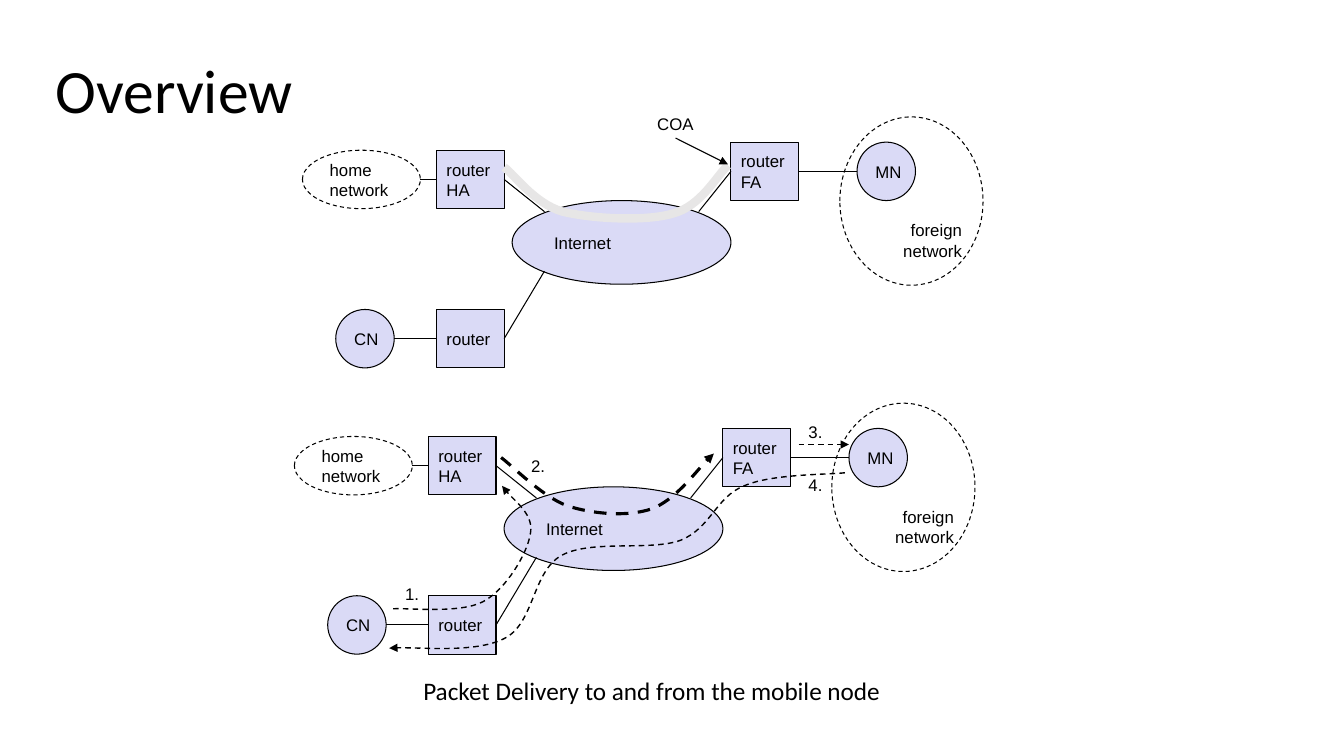
from pptx import Presentation
from pptx.dml.color import RGBColor
from pptx.enum.dml import MSO_LINE
from pptx.enum.shapes import MSO_CONNECTOR, MSO_SHAPE
from pptx.enum.text import MSO_ANCHOR as ANCHOR, MSO_AUTO_SIZE as AUTO, PP_ALIGN as ALIGN
from pptx.oxml.ns import qn
from pptx.util import Inches, Pt
from lxml import etree

BLACK = RGBColor(0x00, 0x00, 0x00)
LAVENDER = RGBColor(0xDA, 0xDA, 0xF6)
GREY = RGBColor(0xE7, 0xE6, 0xE6)
RECT, OVAL = MSO_SHAPE.RECTANGLE, MSO_SHAPE.OVAL
LEFT_SIDE, RIGHT_SIDE = 1, 3
NODE = 0.58          # height of routers and hosts
ROUTER_W = 0.67


def write(tf, text, size=12, font="Arial", align=ALIGN.LEFT, anchor=ANCHOR.TOP,
          wrap=False, spacing=None, auto=AUTO.NONE):
    """Fill a text frame, one paragraph per line of text."""
    tf.word_wrap = wrap
    tf.auto_size = auto
    tf.vertical_anchor = anchor
    for i, line in enumerate(text.split("\n")):
        p = tf.paragraphs[0] if i == 0 else tf.add_paragraph()
        p.alignment = align
        if spacing:
            p.line_spacing = spacing
        r = p.add_run()
        r.text = line
        r.font.size, r.font.name = Pt(size), font
        r.font.color.rgb = BLACK


class Diagram:
    """Drawing style together with the current slide."""

    def __init__(self, slide):
        self.slide = slide
        self.shapes = slide.shapes

    def stroke(self, s, color=BLACK, width=0.75, dash=False, arrow=False):
        s.line.color.rgb = color
        s.line.width = Pt(width)
        if dash:
            s.line.dash_style = MSO_LINE.DASH
        if arrow:
            ln = s.element.spPr.find(qn("a:ln"))
            etree.SubElement(ln, qn("a:tailEnd"), type="triangle")

    def title(self, text, x, y, w, h):
        s = self.shapes.title
        s.left, s.top, s.width, s.height = map(Inches, (x, y, w, h))
        write(s.text_frame, text, size=44, font="Calibri", anchor=ANCHOR.BOTTOM,
              wrap=True, spacing=0.9)

    def node(self, kind, text, x, y, w, h, fill=LAVENDER, **fmt):
        s = self.shapes.add_shape(kind, *map(Inches, (x, y, w, h)))
        s.shadow.inherit = False
        if fill is None:
            s.fill.background()
        else:
            s.fill.solid()
            s.fill.fore_color.rgb = fill
        self.stroke(s, dash=fill is None)
        write(s.text_frame, text, **{"anchor": ANCHOR.MIDDLE, **fmt})
        return s

    def label(self, text, x, y, w=0.34, h=0.3, **fmt):
        s = self.shapes.add_textbox(*map(Inches, (x, y, w, h)))
        write(s.text_frame, text, auto=AUTO.SHAPE_TO_FIT_TEXT, **fmt)

    def line(self, start, end, begin=None, finish=None, **style):
        """Straight line; begin and finish are (shape, side) pairs to join."""
        s = self.shapes.add_connector(MSO_CONNECTOR.STRAIGHT,
                                      *map(Inches, (*start, *end)))
        if begin:
            s.begin_connect(*begin)
        if finish:
            s.end_connect(*finish)
        self.stroke(s, **style)
        etree.SubElement(s.element.spPr, qn("a:effectLst"))

    def curve(self, points, **style):
        """Cubic curve: a start point, then three points per segment."""
        pts = [(Inches(x), Inches(y)) for x, y in points]
        builder = self.shapes.build_freeform(*pts[0])
        builder.add_line_segments(pts[1:], close=False)
        s = builder.convert_to_shape()
        s.shadow.inherit = False
        s.fill.background()
        # Merge every three straight steps into one cubic segment
        steps = list(s.element.iter(qn("a:lnTo")))
        for i in range(0, len(steps), 3):
            cubic = etree.Element(qn("a:cubicBezTo"))
            steps[i].addprevious(cubic)
            for step in steps[i:i + 3]:
                cubic.append(step[0])
                step.getparent().remove(step)
        self.stroke(s, **style)

    def network(self, x, y):
        """Home network, Internet and foreign network with their hosts."""
        def at(dx, dy):
            return x + dx, y + dy

        # Nodes
        self.node(OVAL, "CN", *at(0.33, 1.91), NODE, NODE)
        ha = self.node(RECT, "router\nHA", *at(1.33, 0.33), ROUTER_W, NODE)
        fa = self.node(RECT, "router\nFA", *at(4.25, 0.25), ROUTER_W, NODE)
        self.node(OVAL, "Internet", *at(2.08, 0.83), 2.17, 0.83)
        router = self.node(RECT, "router", *at(1.33, 1.91), ROUTER_W, NODE)
        self.node(OVAL, "home\nnetwork", *at(0, 0.33), 1.17, NODE, fill=None)
        self.node(OVAL, "MN", *at(5.5, 0.25), NODE, NODE)
        foreign = self.node(OVAL, "foreign\nnetwork", *at(5.33, 0), 1.42, 1.67,
                            fill=None, align=ALIGN.RIGHT, anchor=ANCHOR.BOTTOM)
        tf = foreign.text_frame
        tf.margin_left = tf.margin_top = tf.margin_right = tf.margin_bottom = 0

        # Links
        self.line(at(2, 2.2), at(2.4, 1.53), begin=(router, RIGHT_SIDE))
        self.line(at(2, 0.62), at(2.4, 0.94), begin=(ha, RIGHT_SIDE))
        self.line(at(3.93, 0.94), at(4.25, 0.54), finish=(fa, LEFT_SIDE))
        self.line(at(0.91, 2.2), at(1.33, 2.2), finish=(router, LEFT_SIDE))
        self.line(at(4.92, 0.54), at(5.5, 0.54), begin=(fa, RIGHT_SIDE))
        self.line(at(1.17, 0.62), at(1.33, 0.62), finish=(ha, LEFT_SIDE))


def main():
    prs = Presentation()
    prs.slide_width, prs.slide_height = Inches(13.33), Inches(7.5)
    d = Diagram(prs.slides.add_slide(prs.slide_layouts[5]))
    d.title("Overview", 0.45, 0.48, 12.42, 0.83)

    # Lower network: packet delivery
    d.network(2.92, 4)
    d.curve([(3.9, 6.04), (4.05, 6.03), (4.56, 6.09), (4.79, 5.97),
             (5.02, 5.85), (5.23, 5.49), (5.26, 5.3),
             (5.3, 5.11), (5.04, 4.92), (4.98, 4.82)],
            width=1, dash=True, arrow=True)
    d.curve([(4.97, 4.54), (5.08, 4.62), (5.38, 4.93), (5.63, 5.02),
             (5.88, 5.1), (6.22, 5.13), (6.46, 5.05),
             (6.7, 4.96), (6.95, 4.61), (7.08, 4.5)],
            width=2.25, dash=True, arrow=True)
    d.line((7.92, 4.41), (8.42, 4.41), width=1, dash=True, arrow=True)
    d.curve([(8.38, 4.69), (8.21, 4.71), (7.65, 4.7), (7.38, 4.82),
             (7.1, 4.93), (7.05, 5.24), (6.75, 5.36),
             (6.45, 5.47), (5.86, 5.35), (5.57, 5.51),
             (5.28, 5.67), (5.3, 6.18), (5.01, 6.33),
             (4.73, 6.48), (4.1, 6.41), (3.86, 6.43)],
            width=1, dash=True, arrow=True)
    steps = [(3.92, 5.74), (5.17, 4.47), (7.92, 4.13), (7.92, 4.66)]
    for number, (x, y) in enumerate(steps, 1):
        d.label(f"{number}.", x, y)

    # Upper network: tunnel and care-of address
    d.network(3, 1.16)
    d.curve([(5, 1.66), (5.1, 1.73), (5.3, 2.02), (5.58, 2.1),
             (5.86, 2.17), (6.4, 2.2), (6.67, 2.12),
             (6.95, 2.05), (7.11, 1.74), (7.22, 1.64)],
            color=GREY, width=6)
    d.label("COA", 6.42, 1.08, w=0.56)
    d.line((6.7, 1.37), (7.22, 1.63), arrow=True)

    # Caption
    d.label("Packet Delivery to and from the mobile node", 4.1, 6.65, 6.97, 0.34,
            size=18, font="Calibri", wrap=True)
    prs.save("out.pptx")


if __name__ == "__main__":
    main()
